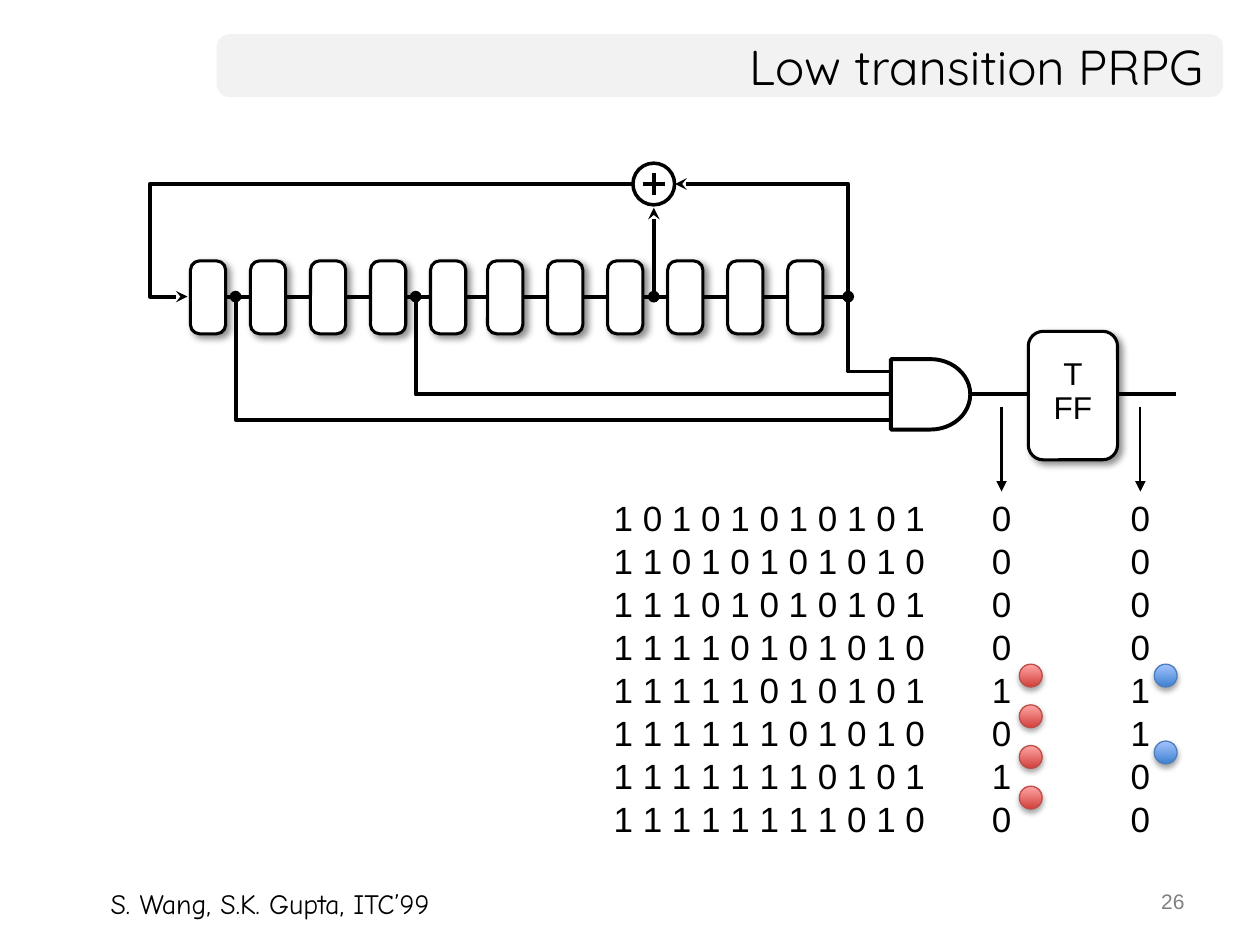
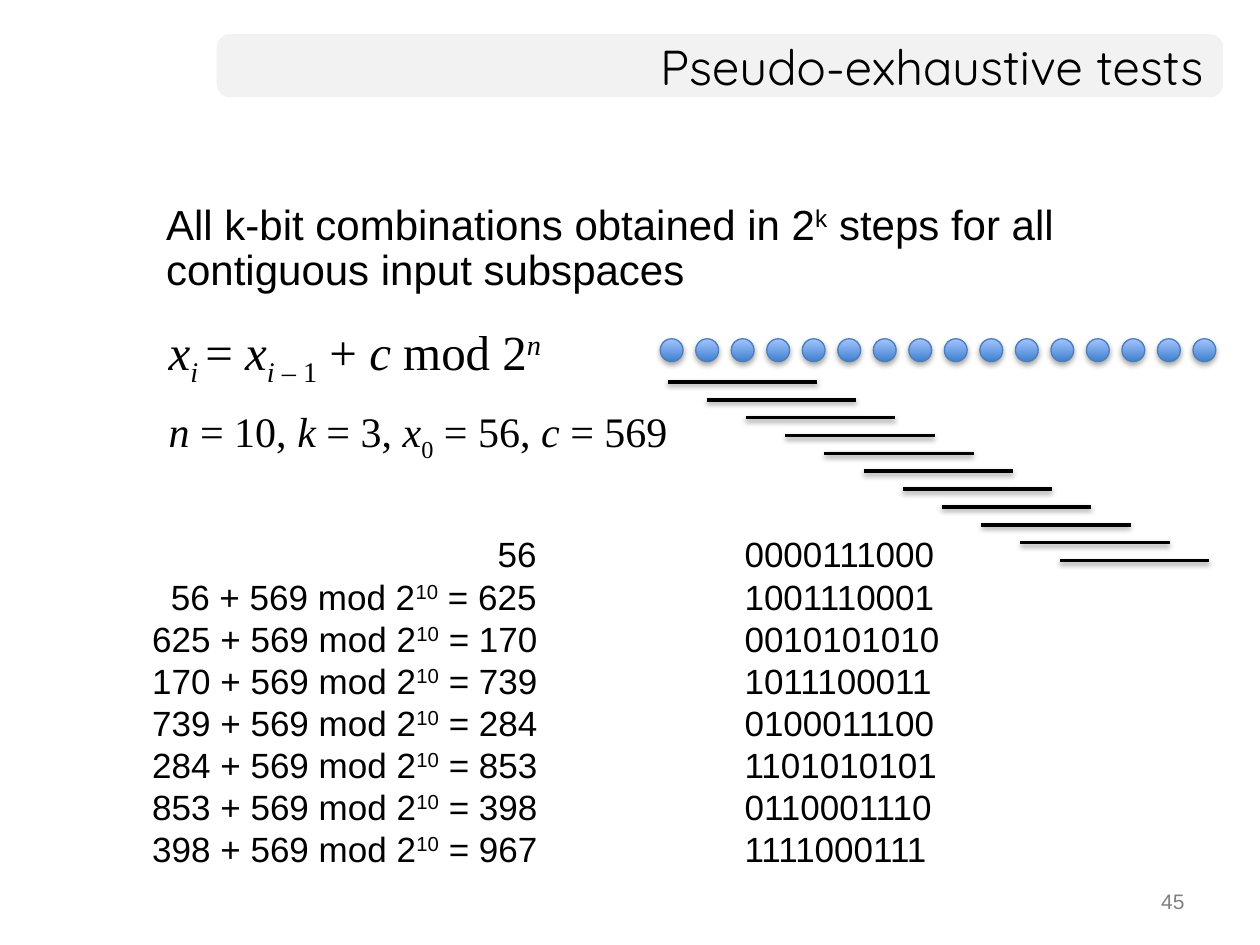
from lxml import etree
from pptx import Presentation
from pptx.dml.color import RGBColor
from pptx.enum.dml import MSO_LINE
from pptx.enum.shapes import MSO_CONNECTOR, MSO_SHAPE
from pptx.enum.text import MSO_ANCHOR, MSO_AUTO_SIZE, PP_ALIGN
from pptx.oxml.ns import qn
from pptx.util import Cm, Pt

# Shared look
BLACK = RGBColor(0x00, 0x00, 0x00)
WHITE = RGBColor(0xFF, 0xFF, 0xFF)
BAND = RGBColor(0xF2, 0xF2, 0xF2)
GRAY = RGBColor(0x80, 0x80, 0x80)
# Ball colours: bottom, top, outline
BLUE = (RGBColor(0x3F, 0x80, 0xCE), RGBColor(0xA4, 0xC4, 0xFF),
        RGBColor(0x4B, 0x7E, 0xBC))
RED = (RGBColor(0xD1, 0x40, 0x3C), RGBColor(0xFF, 0xA6, 0xA5),
       RGBColor(0xBF, 0x4C, 0x48))
# Shadows: opacity %, blur pt, distance pt, angle
BOX_SHADE = (43, 4, 3, 45)
BALL_SHADE = (35, 3.1, 1.8, 90)
BAR_SHADE = (38, 3.1, 1.6, 90)
BALL = 0.46

# Slide 1 content, lengths in cm
STATES = [
    ("1 0 1 0 1 0 1 0 1 0 1", 0, 0),
    ("1 1 0 1 0 1 0 1 0 1 0", 0, 0),
    ("1 1 1 0 1 0 1 0 1 0 1", 0, 0),
    ("1 1 1 1 0 1 0 1 0 1 0", 0, 0),
    ("1 1 1 1 1 0 1 0 1 0 1", 1, 1),
    ("1 1 1 1 1 1 0 1 0 1 0", 0, 1),
    ("1 1 1 1 1 1 1 0 1 0 1", 1, 0),
    ("1 1 1 1 1 1 1 1 0 1 0", 0, 0),
]
CITE = "S. Wang, S.K. Gupta, ITC’99"
ROW, LOOP, OUT = 5.98, 3.71, 17.1  # register axis, feedback line, last output
XOR = 13.18
WIRES = [  # points, head, tail
    ([(4.34, ROW), (OUT, ROW), (OUT, LOOP), (13.61, LOOP)], None, "stealth"),
    ([(12.78, LOOP), (3.02, LOOP), (3.02, ROW), (3.78, ROW)], None, "stealth"),
    ([(4.75, ROW), (4.75, 8.46), (18.47, 8.46)], "oval", None),
    ([(8.38, ROW), (8.38, 7.95), (23.7, 7.95)], "oval", None),
    ([(OUT, ROW), (OUT, 7.49), (18.11, 7.49)], "oval", None),
]
CELLS = [(3.84, 5), (9.83, 6)]  # start, count
PROBES = [20.19, 22.99]
FLIPS = [(RED, 20.55, [13.39 + 0.82 * i for i in range(4)]),
         (BLUE, 23.27, [13.39, 14.94])]

# Slide 2 content: runs are (text, marks), i italic, ^ super, _ sub
CLAIM = [("All k-bit combinations obtained in 2", ""), ("k", "^"),
         (" steps for all contiguous input subspaces", "")]
RULE = [("x", "i"), ("i ", "i_"), ("= ", ""), ("x", "i"), ("i ", "i_"),
        ("– 1", "_"), (" + ", ""), ("c ", "i"), ("mod 2", ""), ("n", "i^")]
VALUES = [("n", "i"), (" = 10, ", ""), ("k", "i"), (" = 3, ", ""), ("x", "i"),
          ("0", "_"), (" = 56, ", ""), ("c", "i"), (" = 569", "")]
SUMS = [(56, "0000111000"), (625, "1001110001"), (170, "0010101010"),
        (739, "1011100011"), (284, "0100011100"), (853, "1101010101"),
        (398, "0110001110"), (967, "1111000111")]


def sub(node, tag, **attrs):
    return etree.SubElement(node, qn(tag), attrs)


def shade(shape, look=None):
    """Give a shape the shadow described by look, or none at all."""
    props = shape._element.spPr
    for old in props.findall(qn("a:effectLst")):
        props.remove(old)
    fx = sub(props, "a:effectLst")
    if look:
        alpha, blur, dist, angle = look
        drop = sub(fx, "a:outerShdw", blurRad=str(Pt(blur)), dist=str(Pt(dist)),
                   dir=str(angle * 60000), algn="ctr", rotWithShape="0")
        tint = sub(drop, "a:srgbClr", val="000000")
        sub(tint, "a:alpha", val=str(alpha * 1000))


def stroke(shape, width, head=None, tail=None):
    line = shape.line
    line.color.rgb, line.width = BLACK, Pt(width)
    line.dash_style = MSO_LINE.SOLID
    for tag, kind in (("a:headEnd", head), ("a:tailEnd", tail)):
        if kind:
            sub(line._get_or_add_ln(), tag, type=kind)


def box(slide, kind, x, y, w, h, fill=WHITE, width=None, look=None):
    shape = slide.shapes.add_shape(kind, Cm(x), Cm(y), Cm(w), Cm(h))
    shape.fill.solid()
    shape.fill.fore_color.rgb = fill
    if width:
        stroke(shape, width)
    else:
        shape.line.fill.background()
    shade(shape, look)
    return shape


def ball(slide, x, y, hue):
    low, high, edge = hue
    shape = box(slide, MSO_SHAPE.OVAL, x, y, BALL, BALL)
    shape.fill.gradient()
    shape.fill.gradient_angle = 90
    for stop, rgb in zip(shape.fill.gradient_stops, (low, high)):
        stop.color.rgb = rgb
    shape.line.color.rgb, shape.line.width = edge, Pt(0.75)
    shade(shape, BALL_SHADE)


def link(slide, x1, y1, x2, y2, width, head=None, tail=None, look=None):
    line = slide.shapes.add_connector(MSO_CONNECTOR.STRAIGHT,
                                      Cm(x1), Cm(y1), Cm(x2), Cm(y2))
    stroke(line, width, head, tail)
    shade(line, look)


def wire(slide, points, head, tail):
    first, *rest = [(Cm(x), Cm(y)) for x, y in points]
    pen = slide.shapes.build_freeform(*first)
    pen.add_line_segments(rest, close=False)
    shape = pen.convert_to_shape()
    shape.fill.background()
    stroke(shape, 2.25, head, tail)
    shade(shape)


def style(para, size, name="Arial", color=BLACK, align=PP_ALIGN.LEFT):
    para.alignment = align
    font = para.font
    font.size, font.name, font.color.rgb = Pt(size), name, color


def text(slide, place, lines, size, name="Arial", color=BLACK,
         align=PP_ALIGN.LEFT, tabs=(), gap=None, wrap=True):
    """Add a text box; each line is a list of (text, marks) runs."""
    frame = slide.shapes.add_textbox(*map(Cm, place)).text_frame
    frame.word_wrap = wrap
    for n, runs in enumerate(lines):
        para = frame.paragraphs[0] if n == 0 else frame.add_paragraph()
        if tabs:
            stops = sub(para._p.get_or_add_pPr(), "a:tabLst")
            for pos, kind in tabs:
                sub(stops, "a:tab", pos=str(Cm(pos)), algn=kind)
        style(para, size, name, color, align)
        if gap:
            para.line_spacing = gap
        for words, marks in runs:
            run = para.add_run()
            run.text = words
            if "i" in marks:
                run.font.italic = True
            for mark, base in (("^", "30000"), ("_", "-25000")):
                if mark in marks:
                    run.font._element.set("baseline", base)


def start(deck, title, number):
    slide = deck.slides.add_slide(deck.slide_layouts[5])
    band = box(slide, MSO_SHAPE.ROUNDED_RECTANGLE, 4.37, 0.69, 20.29, 1.27, BAND)
    band.adjustments[0] = 0.21
    slide.shapes._spTree.insert(2, band._element)
    head = slide.shapes.title
    head.left, head.top, head.width, head.height = map(
        Cm, (4.37, 0.69, 20.14, 1.27))
    frame = head.text_frame
    frame.text = title
    frame.vertical_anchor = MSO_ANCHOR.MIDDLE
    frame.auto_size = MSO_AUTO_SIZE.NONE
    style(frame.paragraphs[0], 28, "Quicksand", align=PP_ALIGN.RIGHT)
    text(slide, (18.21, 17.78, 5.92, 0.89), [[(number, "")]], 12,
         color=GRAY, align=PP_ALIGN.RIGHT)
    return slide


def prpg(deck):
    slide = start(deck, "Low transition PRPG", "26")
    # Wiring and XOR gate
    for points, head, tail in WIRES:
        wire(slide, points, head, tail)
    box(slide, MSO_SHAPE.OVAL, XOR - 0.42, LOOP - 0.42, 0.84, 0.84, width=2)
    for dx, dy in ((0, 0.22), (0.22, 0)):
        link(slide, XOR - dx, LOOP - dy, XOR + dx, LOOP + dy, 2)
    link(slide, XOR, ROW, XOR, 4.19, 2.25, "oval", "stealth")
    # AND gate and toggle flip-flop
    box(slide, MSO_SHAPE.FLOWCHART_DELAY, 17.96, 7.24, 1.6, 1.42, width=2.25)
    flop = box(slide, MSO_SHAPE.ROUNDED_RECTANGLE, 20.73, 6.68, 1.8, 2.59,
               width=1.75, look=BOX_SHADE)
    frame = flop.text_frame
    frame.text = "T\vFF"
    frame.vertical_anchor = MSO_ANCHOR.MIDDLE
    frame.margin_top, frame.margin_bottom = Cm(0.13), Cm(0.25)
    style(frame.paragraphs[0], 18, align=PP_ALIGN.CENTER)
    frame.paragraphs[0].line_spacing = 0.9
    # Register cells
    for x, count in CELLS:
        for i in range(count):
            cell = box(slide, MSO_SHAPE.ROUNDED_RECTANGLE, x + 1.21 * i, 5.26,
                       0.71, 1.47, width=1.75, look=BOX_SHADE)
            cell.adjustments[0] = 0.26
    # States, with gate and flip-flop outputs under the probes
    for x in PROBES:
        link(slide, x, 8.2, x, 9.91, 1.25, tail="triangle")
    left = 12.12
    text(slide, (left, 9.86, 11.6, 7.2),
         [[(f"{bits}\t{gate}\t{flop}", "")] for bits, gate, flop in STATES], 20,
         tabs=[(x - left - 0.25, "ctr") for x in PROBES], gap=Pt(24.6))
    for hue, x, tops in FLIPS:
        for y in tops:
            ball(slide, x, y, hue)
    text(slide, (1.98, 17.75, 7.95, 0.94), [[(CITE, "")]], 16, "Comic Neue",
         wrap=False)


def tests(deck):
    slide = start(deck, "Pseudo-exhaustive tests", "45")
    # Sums and their binary codes
    lines = []
    last = None
    for total, code in SUMS:
        if last is None:
            lines.append([(f"\t{total}\t{code}", "")])
        else:
            lines.append([(f"\t{last} + 569 mod 2", ""), ("10", "^"),
                          (f" = {total}\t{code}", "")])
        last = total
    text(slide, (2.82, 10.62, 17.6, 7.09), lines, 20,
         tabs=[(7.75, "r"), (11.94, "l")])
    # Claim and formulas
    serif = "Times New Roman"
    text(slide, (3.15, 6.35, 8.56, 1.45), [RULE], 28, serif, wrap=False)
    text(slide, (3.15, 8.05, 11.18, 1.27), [VALUES], 24, serif, wrap=False)
    text(slide, (3.1, 3.99, 20.65, 2.41), [CLAIM], 24, gap=0.9)
    # Inputs and their contiguous subspaces
    first, final, count = 13.31, 24.05, 16
    for i in range(count):
        ball(slide, first + (final - first) * i / (count - 1), 6.83, BLUE)
    for i in range(11):
        x, y = 13.46 + 0.79 * i, 7.7 + 0.36 * i
        link(slide, x, y, x + 3.01, y, 2, look=BAR_SHADE)


def main():
    deck = Presentation()
    deck.slide_width, deck.slide_height = Cm(25.4), Cm(19.05)
    prpg(deck)
    tests(deck)
    deck.save("out.pptx")


if __name__ == "__main__":
    main()
